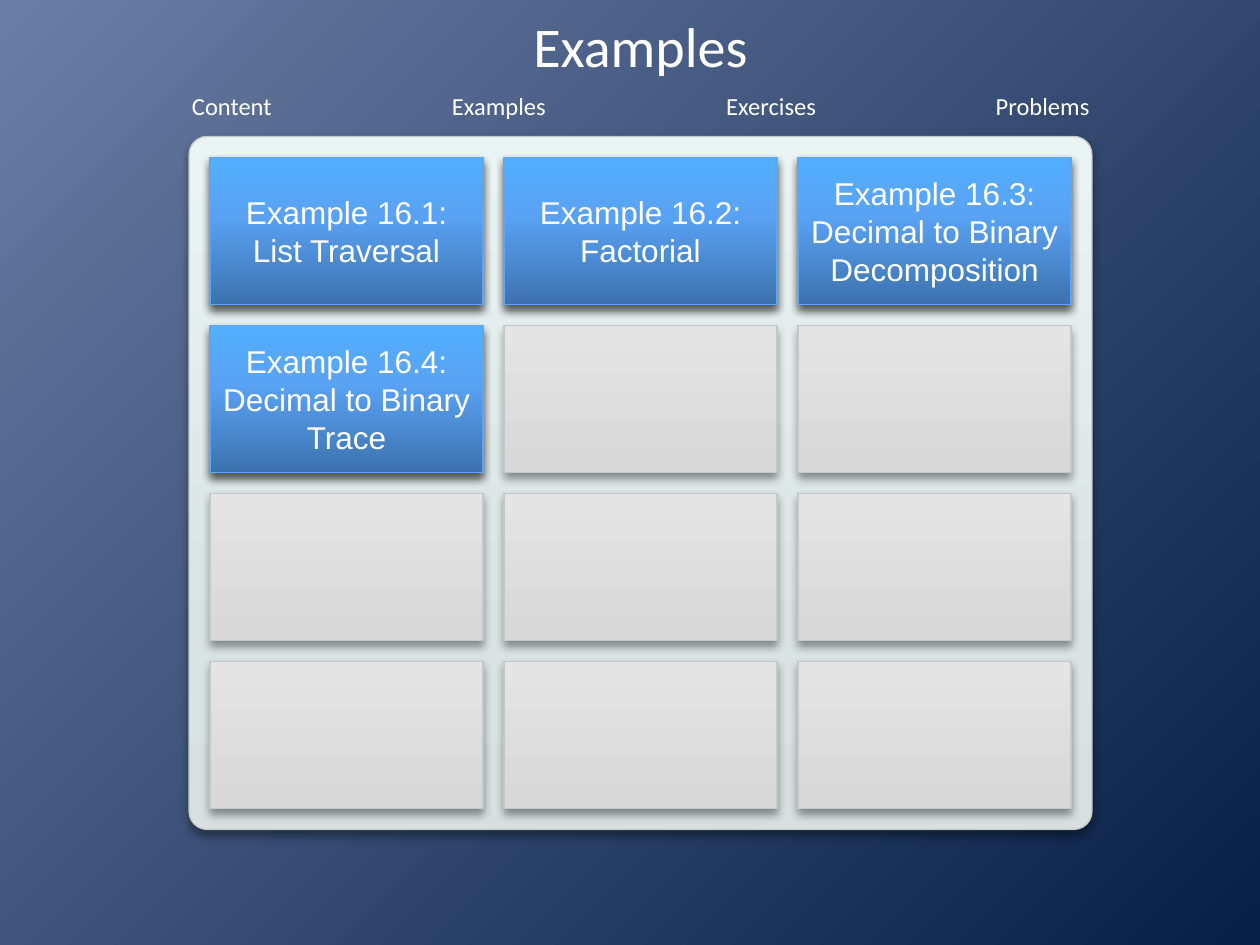
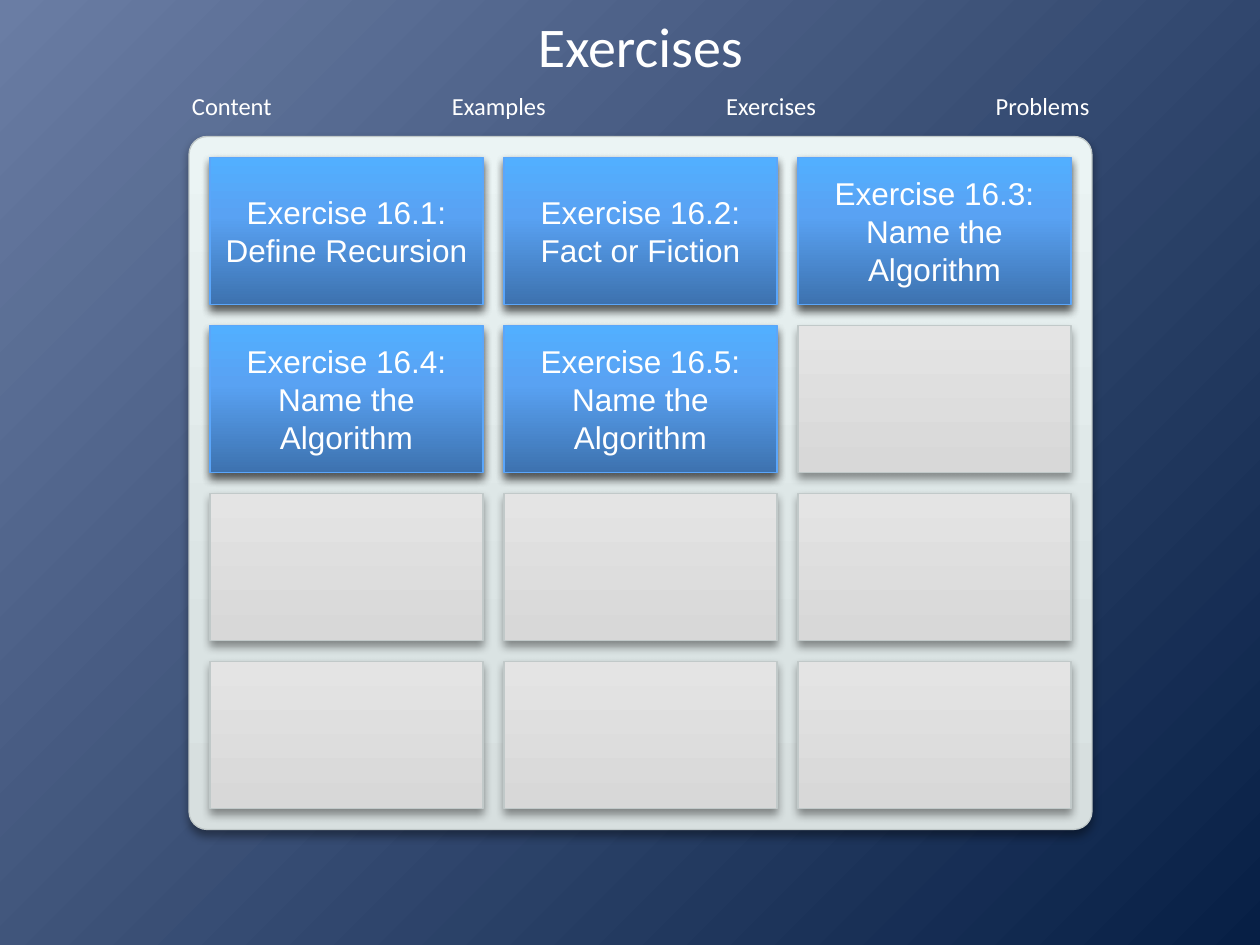
from lxml import etree
from pptx import Presentation
from pptx.dml.color import RGBColor
from pptx.enum.shapes import MSO_SHAPE
from pptx.enum.text import MSO_ANCHOR, MSO_AUTO_SIZE, PP_ALIGN
from pptx.oxml.ns import qn
from pptx.util import Inches, Pt

RECTANGLE = MSO_SHAPE.RECTANGLE
ROUNDED = MSO_SHAPE.ROUNDED_RECTANGLE
CENTER = PP_ALIGN.CENTER
MIDDLE = MSO_ANCHOR.MIDDLE
GROW = MSO_AUTO_SIZE.SHAPE_TO_FIT_TEXT

UNITS_PER_INCH = 6
COLUMNS, ROWS = 3, 4
TILE_WIDTH, TILE_HEIGHT, GAP = 13, 7, 1
PANEL_LEFT, PANEL_TOP = 9, 6.5
PANEL_WIDTH = COLUMNS * (TILE_WIDTH + GAP) + GAP
PANEL_HEIGHT = ROWS * (TILE_HEIGHT + GAP) + GAP

WHITE = "FFFFFF"
BACKGROUND = ((0, "6A7DA4"), (100, "071F45"))
PANEL = ((0, "D7DFDF"), (25, "DAE3E3"), (100, "EBF4F4"))
EMPTY_TILE = ((0, "D8D8D8"), (1, "D8D8D8"), (100, "E4E4E4"))
FULL_TILE = ((0, "3D72AF"), (60, "59A2F3"), (100, "52AFFF"))
GREY_LINE, BLUE_LINE = "C1C9C9", "5BA6FA"

MENU_LEFT, MENU_TOP, MENU_HEIGHT, MENU_GAP = 1.42, 0.67, 0.34, 1.22
MENU = (("Content", 0.84), ("Examples", 0.96), ("Exercises", 0.92), ("Problems", 0.95))

BOARDS = {
    "Examples": (
        ("Example 16.1:\nList Traversal",),
        ("Example 16.2:\nFactorial",),
        ("Example 16.3:\nDecimal to Binary", "Decomposition"),
        ("Example 16.4:\nDecimal to Binary", "Trace"),
    ),
    "Exercises": (
        ("Exercise 16.1:\nDefine Recursion",),
        ("Exercise 16.2:\nFact or Fiction",),
        ("Exercise 16.3:\nName the Algorithm",),
        ("Exercise 16.4:\nName the Algorithm",),
        ("Exercise 16.5:\nName the Algorithm",),
    ),
}


def color(hex_value):
    """Turn a hex string into a colour."""
    return RGBColor.from_string(hex_value)


def units(count):
    """Turn grid units into a length."""
    return Inches(count / UNITS_PER_INCH)


def child(parent, tag, **attributes):
    """Append a drawing element and return it."""
    values = {name: str(value) for name, value in attributes.items()}
    return etree.SubElement(parent, qn(tag), values)


def set_gradient(fill, owner, stops, from_corner=False):
    """Give the owner's fill a gradient, upward or out of the top left corner."""
    fill.gradient()
    gradient = next(owner.iter(qn("a:gradFill")))
    for element in list(gradient):
        gradient.remove(element)
    stop_list = child(gradient, "a:gsLst")
    for position, hex_value in stops:
        stop = child(stop_list, "a:gs", pos=position * 1000)
        child(stop, "a:srgbClr", val=hex_value)
    if from_corner:
        corner = child(gradient, "a:path", path="circle")
        child(corner, "a:fillToRect", r=100000, b=100000)
    else:
        child(gradient, "a:lin", ang=270 * 60000, scaled=0)


class Board:
    """Holds the presentation's style and the current slide."""

    def __init__(self):
        """Start a presentation with the shared background."""
        self.presentation = Presentation()
        self.presentation.slide_width = Inches(10)
        self.presentation.slide_height = Inches(7.5)
        self.layout = self.presentation.slide_layouts[5]
        master = self.presentation.slide_master
        set_gradient(master.background.fill, master.element, BACKGROUND, from_corner=True)
        self.slide = None

    def add_text(self, shape, paragraphs, font, size):
        """Add centred white paragraphs, run by run."""
        frame = shape.text_frame
        for index, text in enumerate(paragraphs):
            paragraph = frame.add_paragraph() if index else frame.paragraphs[0]
            paragraph.alignment = CENTER
            for line_index, line in enumerate(text.split("\n")):
                if line_index:
                    paragraph.add_line_break()
                run = paragraph.add_run()
                run.text = line
                run.font.name = font
                run.font.size = Pt(size)
                run.font.color.rgb = color(WHITE)

    def box(self, kind, left, top, width, height, stops, line):
        """Draw a gradient box with a soft shadow, measured in grid units."""
        shape = self.slide.shapes.add_shape(
            kind, units(left), units(top), units(width), units(height))
        set_gradient(shape.fill, shape.element, stops)
        shape.line.color.rgb = color(line)
        shape.line.width = Pt(0.75)
        shape.shadow.inherit = False
        effects = next(shape.element.iter(qn("a:effectLst")))
        shadow = child(effects, "a:outerShdw", blurRad=Pt(5.2), dist=Pt(3),
                       dir=90 * 60000, rotWithShape=0)
        child(child(shadow, "a:srgbClr", val="000000"), "a:alpha", val=40000)
        return shape

    def tile(self, index, stops, line):
        """Draw the tile with this index, counted row by row."""
        row, column = divmod(index, COLUMNS)
        left = PANEL_LEFT + GAP + column * (TILE_WIDTH + GAP)
        top = PANEL_TOP + GAP + row * (TILE_HEIGHT + GAP)
        return self.box(RECTANGLE, left, top, TILE_WIDTH, TILE_HEIGHT, stops, line)

    def panel(self):
        """Draw the panel and its empty tiles."""
        panel = self.box(ROUNDED, PANEL_LEFT, PANEL_TOP, PANEL_WIDTH, PANEL_HEIGHT,
                         PANEL, GREY_LINE)
        panel.adjustments[0] = 0.026
        for index in range(COLUMNS * ROWS):
            self.tile(index, EMPTY_TILE, GREY_LINE)

    def menu(self):
        """Add the row of section names with equal gaps."""
        left = MENU_LEFT
        for name, width in MENU:
            label = self.slide.shapes.add_textbox(
                Inches(left), Inches(MENU_TOP), Inches(width), Inches(MENU_HEIGHT))
            label.text_frame.word_wrap = False
            label.text_frame.auto_size = GROW
            self.add_text(label, (name,), "Calibri", 14)
            left += width + MENU_GAP

    def title(self, text):
        """Place and fill the slide's title."""
        title = self.slide.shapes.title
        title.left, title.top = units(PANEL_LEFT), Inches(0.11)
        title.width, title.height = units(PANEL_WIDTH), Inches(0.5)
        frame = title.text_frame
        frame.margin_left = frame.margin_right = frame.margin_top = frame.margin_bottom = 0
        frame.vertical_anchor = MIDDLE
        self.add_text(title, (text,), "Calibri", 32)

    def add_slide(self, heading, topics):
        """Add a slide whose first tiles carry the topics."""
        self.slide = self.presentation.slides.add_slide(self.layout)
        self.panel()
        self.menu()
        self.title(heading)
        for index, paragraphs in enumerate(topics):
            tile = self.tile(index, FULL_TILE, BLUE_LINE)
            tile.text_frame.word_wrap = True
            tile.text_frame.vertical_anchor = MIDDLE
            self.add_text(tile, paragraphs, "Arial", 18)


def main():
    """Build and save the slides."""
    board = Board()
    for heading, topics in BOARDS.items():
        board.add_slide(heading, topics)
    board.presentation.save("out.pptx")


if __name__ == "__main__":
    main()
